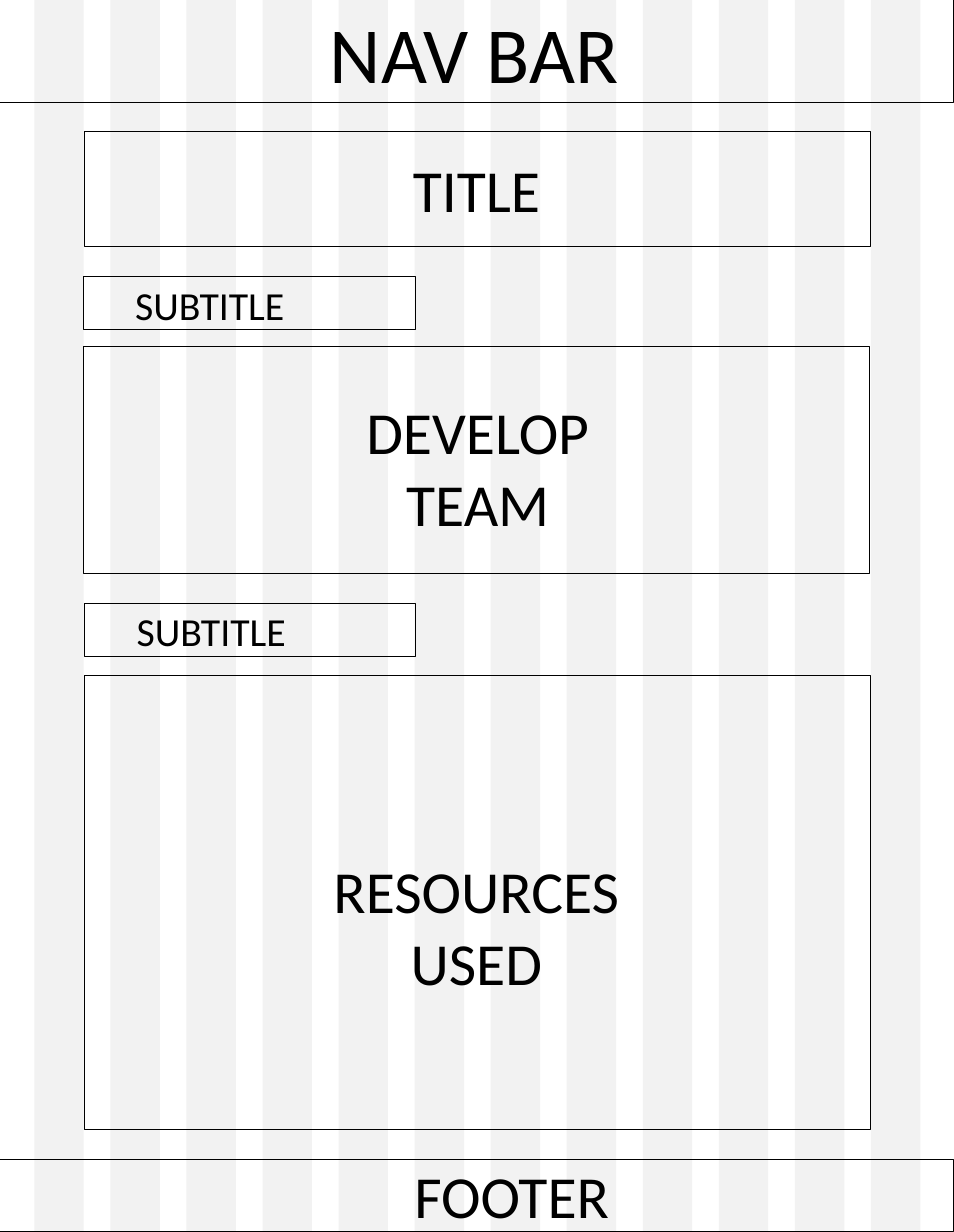
from dataclasses import dataclass

from pptx import Presentation
from pptx.dml.color import RGBColor
from pptx.enum import shapes, text
from pptx.util import Inches, Pt


@dataclass(frozen=True)
class Theme:
    font: str = "Calibri"
    ink: RGBColor = RGBColor(0x00, 0x00, 0x00)
    column: RGBColor = RGBColor(0xF2, 0xF2, 0xF2)
    banner: int = 80
    heading: int = 60
    subtitle: int = 40
    outline: int = 1


theme = Theme()
PAGE_WIDTH, PAGE_HEIGHT = 13.33, 17.22
COLUMNS, COLUMN_WIDTH = 12, 0.69
FIRST_COLUMN, LAST_COLUMN = 0.48, 12.17
BLOCK_WIDTH = 10.98
SUBTITLE_WIDTH, SUBTITLE_HEIGHT = 4.63, 0.74

deck = Presentation()
deck.slide_width, deck.slide_height = Inches(PAGE_WIDTH), Inches(PAGE_HEIGHT)
page = deck.slides.add_slide(deck.slide_layouts[6])


def add_box(left, top, width, height, fill=None):
    """Add a filled rectangle without outline, or an outlined one without fill."""
    box = page.shapes.add_shape(
        shapes.MSO_SHAPE.RECTANGLE,
        Inches(left), Inches(top), Inches(width), Inches(height))
    box.shadow.inherit = False
    if fill is None:
        box.fill.background()
        box.line.color.rgb = theme.ink
        box.line.width = Pt(theme.outline)
    else:
        box.fill.solid()
        box.fill.fore_color.rgb = fill
        box.line.fill.background()


def add_label(lines, left, top, width, height, size, align, wrap=True):
    box = page.shapes.add_textbox(
        Inches(left), Inches(top), Inches(width), Inches(height))
    frame = box.text_frame
    frame.word_wrap = wrap
    frame.auto_size = text.MSO_AUTO_SIZE.SHAPE_TO_FIT_TEXT
    for index, line in enumerate(lines):
        para = frame.add_paragraph() if index else frame.paragraphs[0]
        para.alignment = align
        span = para.add_run()
        span.text = line
        span.font.name = theme.font
        span.font.size = Pt(size)
        span.font.color.rgb = theme.ink


# Column grid
pitch = (LAST_COLUMN - FIRST_COLUMN) / (COLUMNS - 1)
for column in range(COLUMNS):
    add_box(FIRST_COLUMN + column * pitch, 0, COLUMN_WIDTH, PAGE_HEIGHT, theme.column)

# Outlined areas: left, top, width, height
areas = [
    (0, 0, PAGE_WIDTH, 1.43),
    (1.18, 1.84, BLOCK_WIDTH, 1.61),
    (1.17, 3.87, SUBTITLE_WIDTH, SUBTITLE_HEIGHT),
    (1.17, 4.85, BLOCK_WIDTH, 3.17),
    (1.18, 8.43, SUBTITLE_WIDTH, SUBTITLE_HEIGHT),
    (1.18, 9.44, BLOCK_WIDTH, 6.35),
    (0, 16.2, PAGE_WIDTH, 1.02),
]
for area in areas:
    add_box(*area)

# Area names
LEFT, CENTER = text.PP_ALIGN.LEFT, text.PP_ALIGN.CENTER
add_label(["NAV BAR"], 4.51, 0, 4.57, 1.45, theme.banner, LEFT)
add_label(["TITLE"], 5.67, 2.09, 2, 1.11, theme.heading, LEFT, wrap=False)
add_label(["FOOTER"], 5.69, 16.15, 2.95, 1.11, theme.heading, LEFT, wrap=False)
for left, top in [(1.79, 3.87), (1.81, 8.43)]:
    add_label(["SUBTITLE"], left, top, 2.32, 0.77, theme.subtitle, LEFT)
for lines, left, top in [(["DEVELOP", "TEAM"], 4.44, 5.47),
                         (["RESOURCES", "USED"], 4.42, 11.89)]:
    add_label(lines, left, top, 4.47, 2.12, theme.heading, CENTER)

deck.save("out.pptx")
